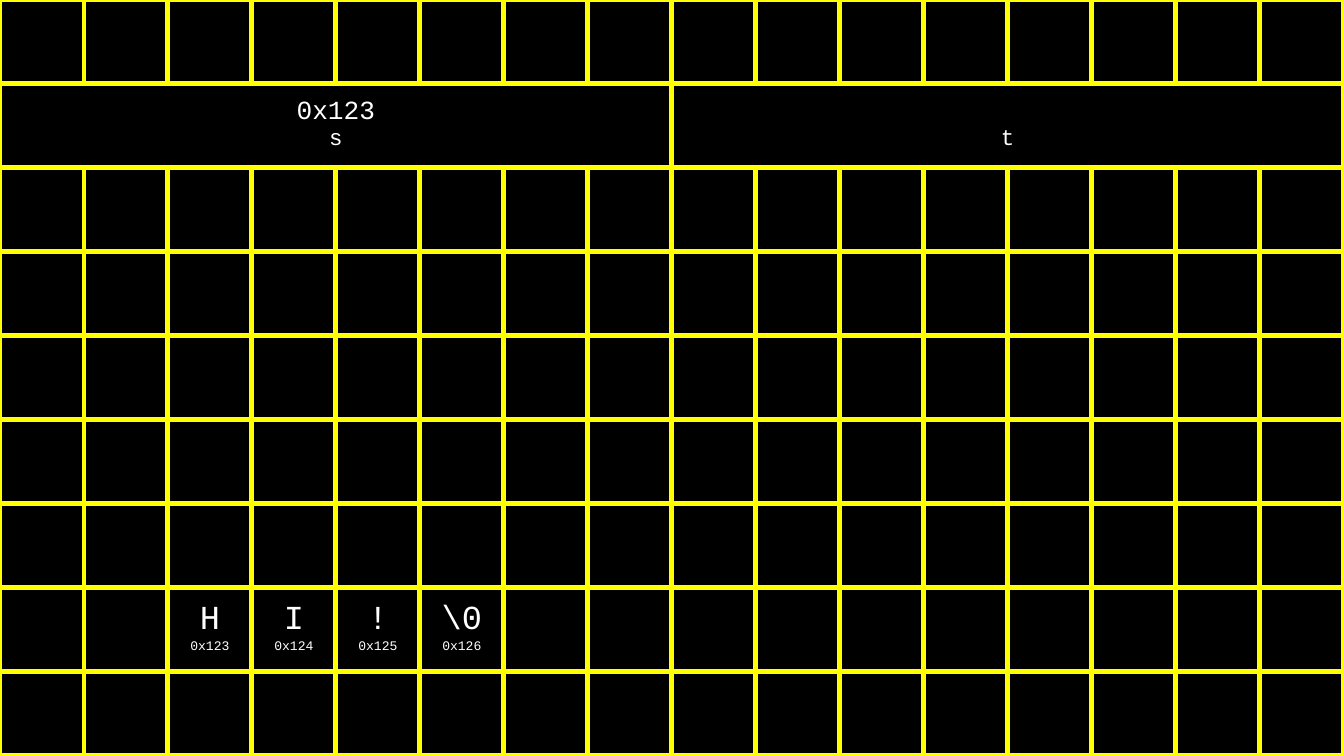
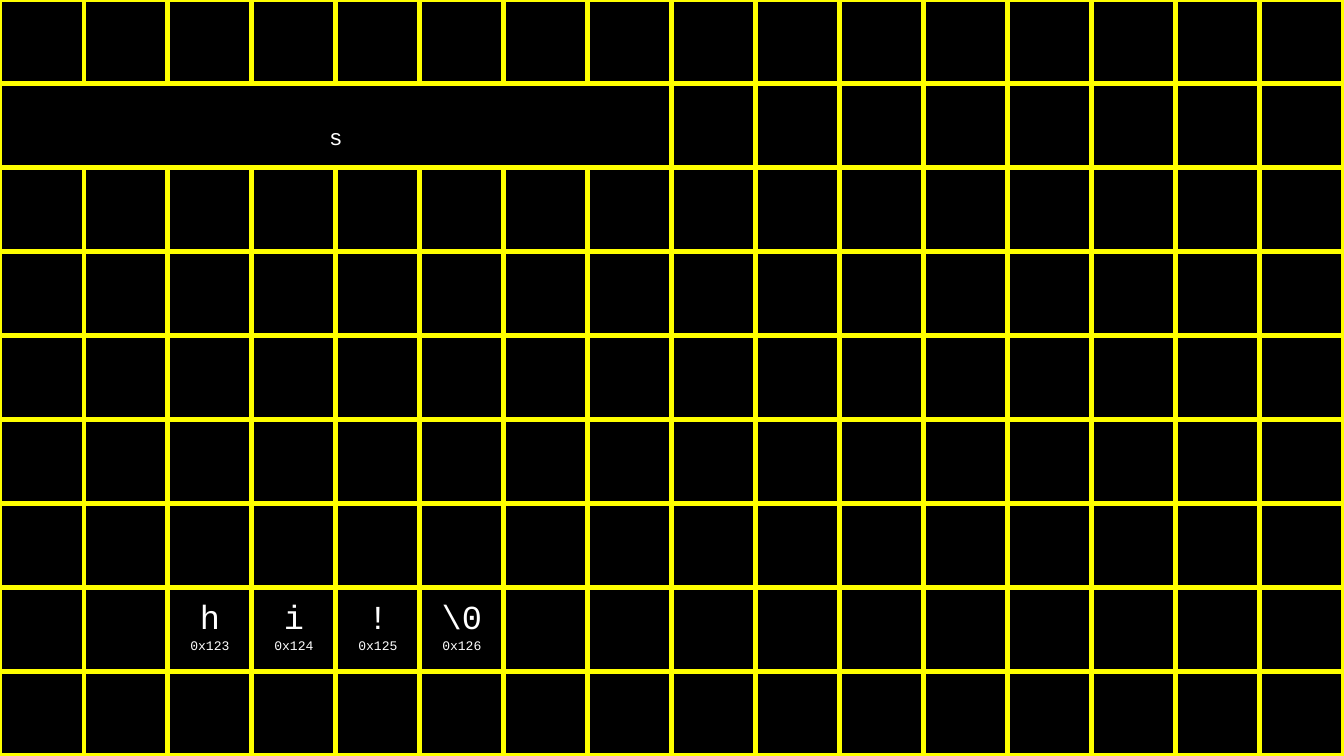
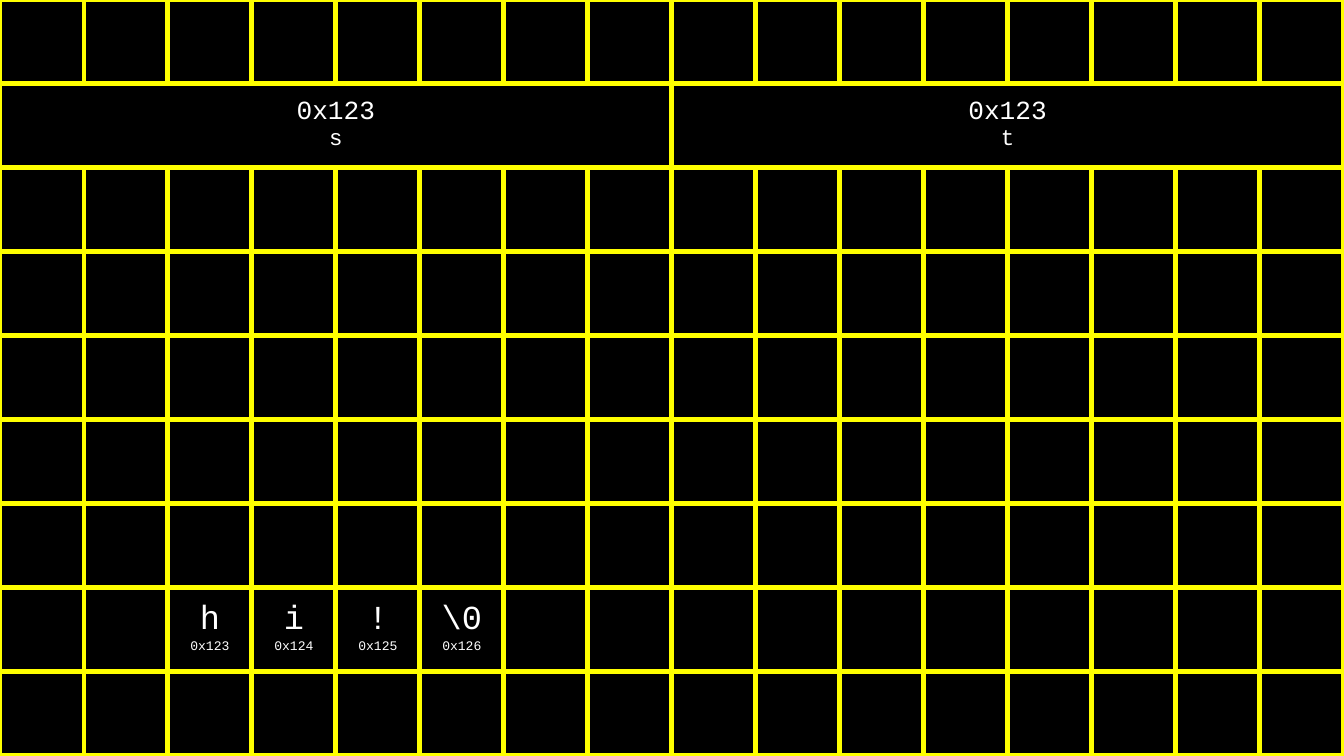
from lxml import etree
from pptx import Presentation
from pptx.dml.color import RGBColor
from pptx.enum import text
from pptx.oxml import ns
from pptx.util import Inches, Pt

MEMORY_STATES = [
    {"pointers": [("0x123", "s"), ("", "t")], "string": ["H", "I", "!", "\\0"]},
    {"pointers": [("", "s")], "string": ["h", "i", "!", "\\0"]},
    {"pointers": [("0x123", "s"), ("0x123", "t")], "string": ["h", "i", "!", "\\0"]},
]

BLACK = RGBColor(0x00, 0x00, 0x00)
YELLOW = RGBColor(0xFF, 0xFF, 0x00)
WHITE = RGBColor(0xFF, 0xFF, 0xFF)
FONT = "Courier New"

COLUMNS, ROWS, ROWS_IN_VIEW = 16, 12, 9
BYTE_SIZE = Inches(10) // COLUMNS
POINTER_ROW, POINTER_BYTES = 1, 8
STRING_ROW, STRING_COLUMN = 7, 2
FIRST_ADDRESS = 0x123
INSET = Inches(0.1)
EMPTY_VALUE_HEIGHT = Inches(0.22)
BORDER_WIDTH = Pt(3)


def style_cell(cell):
    properties = cell._tc.get_or_add_tcPr()
    for side in ("lnL", "lnR", "lnT", "lnB"):
        line = etree.SubElement(properties, ns.qn(f"a:{side}"), w=str(BORDER_WIDTH))
        fill = etree.SubElement(line, ns.qn("a:solidFill"))
        etree.SubElement(fill, ns.qn("a:srgbClr"), val=str(YELLOW))
    cell.fill.background()
    cell.margin_left = cell.margin_right = INSET
    cell.margin_top = cell.margin_bottom = INSET
    cell.vertical_anchor = text.MSO_ANCHOR.TOP


def write_cell(cell, lines):
    frame = cell.text_frame
    frame.text = "\n".join(content for content, size in lines)
    for paragraph, (content, size) in zip(frame.paragraphs, lines):
        paragraph.alignment = text.PP_ALIGN.CENTER
        paragraph.font.name = FONT
        paragraph.font.size = Pt(size)
        paragraph.font.color.rgb = WHITE


def add_memory_grid(slide):
    table = slide.shapes.add_table(
        ROWS, COLUMNS, 0, 0, BYTE_SIZE * COLUMNS, BYTE_SIZE * ROWS
    ).table
    table.first_row = False
    table.horz_banding = False
    for column in table.columns:
        column.width = BYTE_SIZE
    for row in table.rows:
        row.height = BYTE_SIZE
    for cell in table.iter_cells():
        style_cell(cell)
    return table


def add_pointer(table, index, value, name):
    start = index * POINTER_BYTES
    cell = table.cell(POINTER_ROW, start)
    cell.merge(table.cell(POINTER_ROW, start + POINTER_BYTES - 1))
    if value:
        write_cell(cell, [(value, 14), (name, 12)])
    else:
        cell.margin_top = INSET + EMPTY_VALUE_HEIGHT
        write_cell(cell, [(name, 12)])


def main():
    presentation = Presentation()
    presentation.slide_width = BYTE_SIZE * COLUMNS
    presentation.slide_height = BYTE_SIZE * ROWS_IN_VIEW
    background = presentation.slide_master.background.fill
    background.solid()
    background.fore_color.rgb = BLACK

    for state in MEMORY_STATES:
        slide = presentation.slides.add_slide(presentation.slide_layouts[6])
        table = add_memory_grid(slide)
        for index, (value, name) in enumerate(state["pointers"]):
            add_pointer(table, index, value, name)
        for offset, character in enumerate(state["string"]):
            cell = table.cell(STRING_ROW, STRING_COLUMN + offset)
            write_cell(cell, [(character, 18), (f"0x{FIRST_ADDRESS + offset:x}", 7)])

    presentation.save("out.pptx")


if __name__ == "__main__":
    main()
